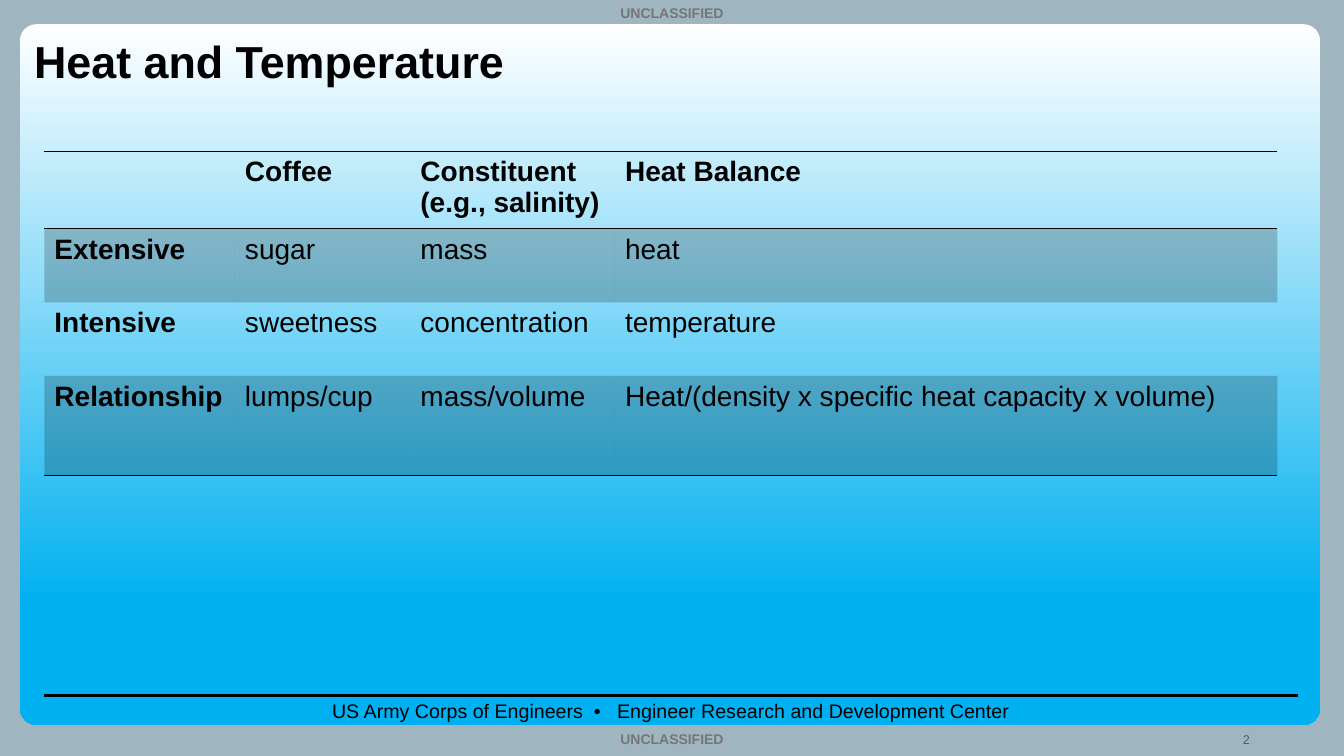
from lxml import etree
from pptx import Presentation
from pptx.dml.color import RGBColor
from pptx.enum.shapes import MSO_CONNECTOR, MSO_SHAPE
from pptx.enum.text import MSO_ANCHOR, PP_ALIGN
from pptx.oxml.ns import qn
from pptx.util import Inches, Pt

LEFT, CENTER = PP_ALIGN.LEFT, PP_ALIGN.CENTER
TOP, MIDDLE = MSO_ANCHOR.TOP, MSO_ANCHOR.MIDDLE
ROUND, LINE = MSO_SHAPE.ROUNDED_RECTANGLE, MSO_CONNECTOR.STRAIGHT
WIDE, HIGH = 13.33, 7.5
BLACK, GREY = "000000", "767676"
PLAIN = "{2D5ABB26-0587-4C30-8999-92F81FD0307C}"  # no style, no grid

COLS = [1.89, 1.74, 2.03, 6.57]
ROWS = [0.77, 0.73, 0.73, 0.99]
CELLS = [
    ["", "Coffee", "Constituent (e.g., salinity)", "Heat Balance"],
    ["Extensive", "sugar", "mass", "heat"],
    ["Intensive", "sweetness", "concentration", "temperature"],
    ["Relationship", "lumps/cup", "mass/volume",
     "Heat/(density x specific heat capacity x volume)"],
]


def tint(fmt, hue):
    fmt.rgb = RGBColor.from_string(hue)


def style(para, size, hue=BLACK, bold=False):
    font = para.font
    font.name, font.size, font.bold = "Arial", Pt(size), bold
    tint(font.color, hue)


def label(slide, box, text, size, hue=BLACK, bold=False, align=LEFT, anchor=TOP):
    frame = slide.shapes.add_textbox(*map(Inches, box)).text_frame
    frame.word_wrap, frame.vertical_anchor = True, anchor
    para = frame.paragraphs[0]
    para.text, para.alignment = text, align
    style(para, size, hue, bold)


def panel(slide, box):
    card = slide.shapes.add_shape(ROUND, *map(Inches, box))
    card.adjustments[0] = 0.023
    card.shadow.inherit = False
    card.line.fill.background()
    card.fill.gradient()
    card.fill.gradient_angle = 270
    stops = zip(card.fill.gradient_stops, [(0, "FFFFFF"), (0.83, "00B0F0")])
    for stop, (pos, hue) in stops:
        stop.position = pos
        tint(stop.color, hue)


def footer(slide, box):
    x, y, w, h = box
    rule = slide.shapes.add_connector(
        LINE, Inches(x), Inches(y), Inches(x + w), Inches(y))
    rule.line.width = Pt(1.5)
    tint(rule.line.color, BLACK)
    etree.SubElement(rule._element.spPr, qn("a:effectLst"))
    label(slide, (x, y - 0.02, w, h),
          "US Army Corps of Engineers  •   Engineer Research and Development Center",
          14, align=CENTER)


def marks(slide, box):
    x, y, w, h = box
    for top in (y, y + h - 0.3):
        label(slide, (x, top, w, 0.27), "UNCLASSIFIED", 10, GREY, True, CENTER)
    label(slide, (x + w - 1.1, y + h - 0.29, 1.06, 0.4), "2", 9, "595959")


def edge(cell, side):
    line = etree.SubElement(cell._tc.get_or_add_tcPr(), qn("a:" + side), w="12700")
    fill = etree.SubElement(line, qn("a:solidFill"))
    etree.SubElement(fill, qn("a:srgbClr"), val=BLACK)


def shade(cell, alpha):
    cell.fill.solid()
    tint(cell.fill.fore_color, BLACK)
    clr = cell._tc.tcPr.find(".//" + qn("a:solidFill") + "[last()]")
    clr = cell._tc.tcPr.find(qn("a:solidFill")).find(qn("a:srgbClr"))
    etree.SubElement(clr, qn("a:alpha"), val=str(alpha * 1000))


def grid(slide, box):
    table = slide.shapes.add_table(
        len(ROWS), len(COLS), *map(Inches, box)).table
    table._tbl.tblPr.find(qn("a:tableStyleId")).text = PLAIN
    table.horz_banding = False
    for col, w in zip(table.columns, COLS):
        col.width = Inches(w)
    for row, h in zip(table.rows, ROWS):
        row.height = Inches(h)
    last = len(ROWS) - 1
    for r, texts in enumerate(CELLS):
        for c, text in enumerate(texts):
            cell = table.cell(r, c)
            cell.text = text
            style(cell.text_frame.paragraphs[0], 20, bold=r == 0 or c == 0)
            if r == 0:
                edge(cell, "lnT")
            if r in (0, last):
                edge(cell, "lnB")
            if r % 2:
                shade(cell, 20)
            else:
                cell.fill.background()


def main():
    deck = Presentation()
    deck.slide_width, deck.slide_height = Inches(WIDE), Inches(HIGH)
    slide = deck.slides.add_slide(deck.slide_layouts[6])
    slide.background.fill.solid()
    tint(slide.background.fill.fore_color, "9FB6C0")
    # Frame
    panel(slide, (0.2, 0.24, 12.89, 6.95))
    footer(slide, (0.44, 6.9, 12.43, 0.34))
    marks(slide, (0, 0, WIDE, HIGH))
    # Content
    label(slide, (0.24, 0.28, 12.22, 0.64), "Heat and Temperature", 32,
          bold=True, anchor=MIDDLE)
    grid(slide, (0.44, 1.5, sum(COLS), sum(ROWS)))
    deck.save("out.pptx")


if __name__ == "__main__":
    main()
